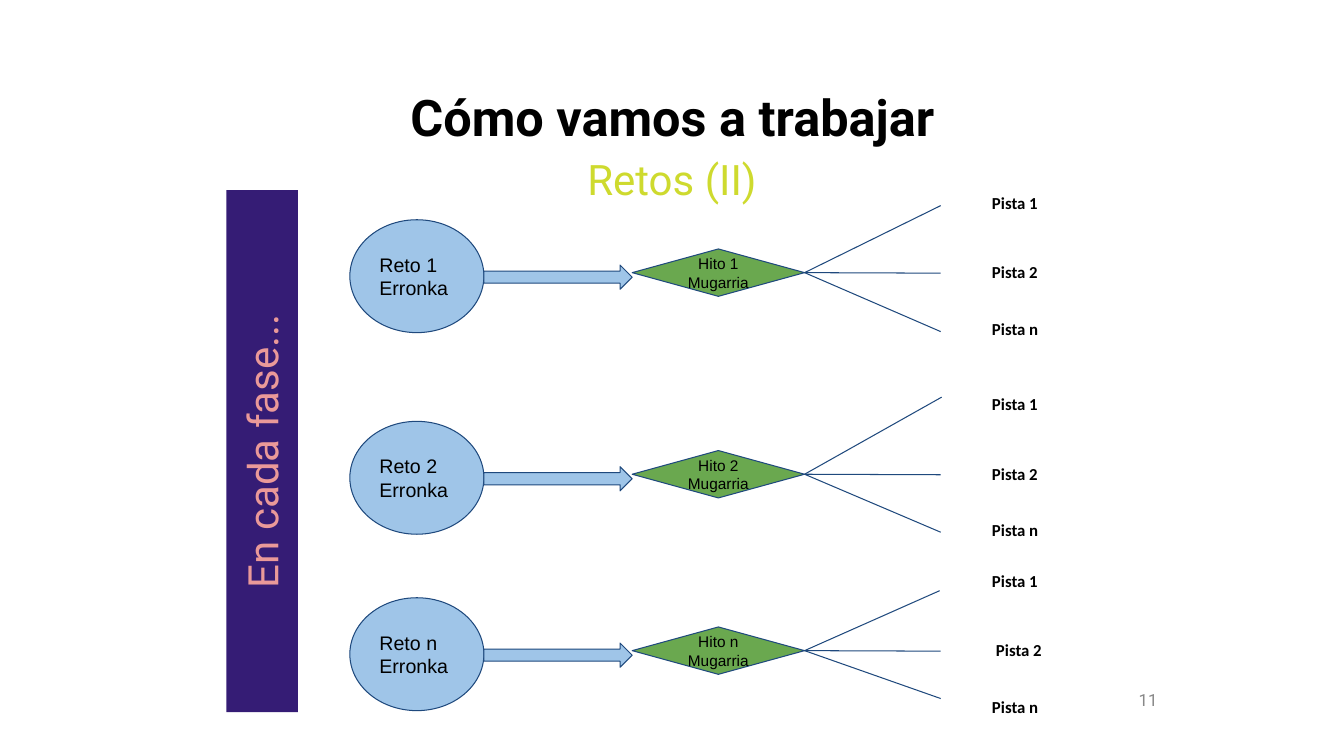
import pptx
import pptx.util
from pptx.dml.color import RGBColor
from pptx.enum.shapes import MSO_CONNECTOR, MSO_SHAPE
from pptx.enum.text import MSO_ANCHOR, MSO_AUTO_SIZE, PP_ALIGN
from pptx.oxml.ns import qn
from lxml import etree

TITLE = "Cómo vamos a trabajar"
SUBTITLE = "Retos (II)"
BANNER = "En cada fase..."
PAGE_NUMBER = "11"
CLUES = ["Pista 1", "Pista 2", "Pista n"]
# Each challenge: label, row top, ends of its clue lines, shift of its middle clue
CHALLENGES = [
    ("1", 2.18, [(9.33, 2.04), (9.33, 2.71), (9.33, 3.29)], 0),
    ("2", 4.18, [(9.34, 3.94), (9.33, 4.71), (9.33, 5.28)], 0),
    ("n", 5.93, [(9.32, 5.86), (9.33, 6.46), (9.33, 6.93)], 0.04),
]

BLACK = RGBColor(0x00, 0x00, 0x00)
GRAY = RGBColor(0x88, 0x88, 0x88)
LIME = RGBColor(0xCE, 0xDA, 0x2E)
SKY = RGBColor(0x9F, 0xC5, 0xE8)
GREEN = RGBColor(0x6A, 0xA8, 0x4F)
NAVY = RGBColor(0x1F, 0x49, 0x7D)
PURPLE = RGBColor(0x35, 0x1C, 0x75)
PINK = RGBColor(0xEA, 0x99, 0x99)

WIDTH, HEIGHT = 13.33, 7.5
CIRCLE_LEFT, CIRCLE_W, CIRCLE_H = 3.47, 1.33, 1.12
ARROW_W, ARROW_H = 1.47, 0.24
DIAMOND_W, DIAMOND_H = 1.71, 0.47
ARROW_LEFT = CIRCLE_LEFT + CIRCLE_W
DIAMOND_LEFT = ARROW_LEFT + ARROW_W
CLUE_LEFT, CLUE_W, CLUE_H = 9.74, 0.91, 0.4
CLUE_SHIFTS = [-0.37, 0.32, 0.88]  # clue tops from the row top
LINE_WIDTH = pptx.util.Pt(0.75)


def inches(*lengths):
    return [pptx.util.Inches(length) for length in lengths]


def place(shape, *bounds):
    shape.left, shape.top, shape.width, shape.height = inches(*bounds)


def write(shape, lines, size, font, color, bold=False, align=PP_ALIGN.LEFT,
          anchor=MSO_ANCHOR.TOP, inset=0.1):
    frame = shape.text_frame
    frame.word_wrap = True
    frame.auto_size = MSO_AUTO_SIZE.NONE
    frame.vertical_anchor = anchor
    frame.margin_left = frame.margin_right = pptx.util.Inches(0.1)
    frame.margin_top = frame.margin_bottom = pptx.util.Inches(inset)
    for index, line in enumerate(lines):
        para = frame.add_paragraph() if index else frame.paragraphs[0]
        para.alignment = align
        para.space_before = pptx.util.Pt(0)
        span = para.add_run()
        span.text = line
        span.font.size = pptx.util.Pt(size)
        span.font.name = font
        span.font.bold = bold
        span.font.color.rgb = color


def add_figure(page, kind, bounds, fill, outline=NAVY):
    figure = page.shapes.add_shape(kind, *inches(*bounds))
    figure.shadow.inherit = False
    figure.fill.solid()
    figure.fill.fore_color.rgb = fill
    if outline is None:
        figure.line.fill.background()
    else:
        figure.line.color.rgb = outline
        figure.line.width = LINE_WIDTH
    return figure


def add_clue_line(page, diamond, end):
    line = page.shapes.add_connector(MSO_CONNECTOR.STRAIGHT, 0, 0, *inches(*end))
    line.begin_connect(diamond, 3)
    line.line.color.rgb = NAVY
    line.line.width = LINE_WIDTH
    etree.SubElement(line._element.spPr, qn("a:effectLst"))


def add_headings(page):
    title, subtitle = page.placeholders[0], page.placeholders[1]
    place(title, 0.67, 0.84, 12, 0.63)
    write(title, [TITLE], 36, "Roboto", BLACK, True, PP_ALIGN.CENTER,
          MSO_ANCHOR.MIDDLE, 0.05)
    place(subtitle, 0.68, 1.47, 11.97, 0.47)
    props = subtitle.text_frame.paragraphs[0]._p.get_or_add_pPr()
    props.set("marL", "0")
    props.set("indent", "0")
    etree.SubElement(props, qn("a:buNone"))
    write(subtitle, [SUBTITLE], 30, "Roboto", LIME, align=PP_ALIGN.CENTER, inset=0.05)
    number = page.shapes.add_textbox(*inches(8.47, 6.74, 3.11, 0.4))
    write(number, [PAGE_NUMBER], 12, "Roboto", GRAY, align=PP_ALIGN.RIGHT,
          anchor=MSO_ANCHOR.MIDDLE, inset=0.05)


def add_challenge(page, label, top, line_ends, middle_shift):
    circle = add_figure(page, MSO_SHAPE.OVAL,
                        (CIRCLE_LEFT, top, CIRCLE_W, CIRCLE_H), SKY)
    write(circle, [f"Reto {label}", "Erronka"], 14, "Arial", BLACK,
          anchor=MSO_ANCHOR.MIDDLE)
    diamond = add_figure(page, MSO_SHAPE.FLOWCHART_DECISION,
                         (DIAMOND_LEFT, top + 0.29, DIAMOND_W, DIAMOND_H), GREEN)
    write(diamond, [f"Hito {label}", "Mugarria"], 11, "Arial", BLACK,
          align=PP_ALIGN.CENTER, anchor=MSO_ANCHOR.MIDDLE)
    add_figure(page, MSO_SHAPE.RIGHT_ARROW,
               (ARROW_LEFT, top + 0.45, ARROW_W, ARROW_H), SKY)
    for end in line_ends:
        add_clue_line(page, diamond, end)
    for clue, drop, shift in zip(CLUES, CLUE_SHIFTS, (0, middle_shift, 0)):
        box = page.shapes.add_textbox(
            *inches(CLUE_LEFT + shift, top + drop, CLUE_W, CLUE_H))
        write(box, [clue], 12, "Calibri", BLACK, bold=True)


def main():
    deck = pptx.Presentation()
    deck.slide_width, deck.slide_height = inches(WIDTH, HEIGHT)
    page = deck.slides.add_slide(deck.slide_layouts[1])
    add_headings(page)
    for challenge in CHALLENGES:
        add_challenge(page, *challenge)
    banner = add_figure(page, MSO_SHAPE.RECTANGLE, (0.01, 4.12, 5.18, 0.71),
                        PURPLE, outline=None)
    banner.rotation = 270
    write(banner, [BANNER], 30, "Roboto", PINK, align=PP_ALIGN.CENTER)
    deck.save("out.pptx")


if __name__ == "__main__":
    main()
